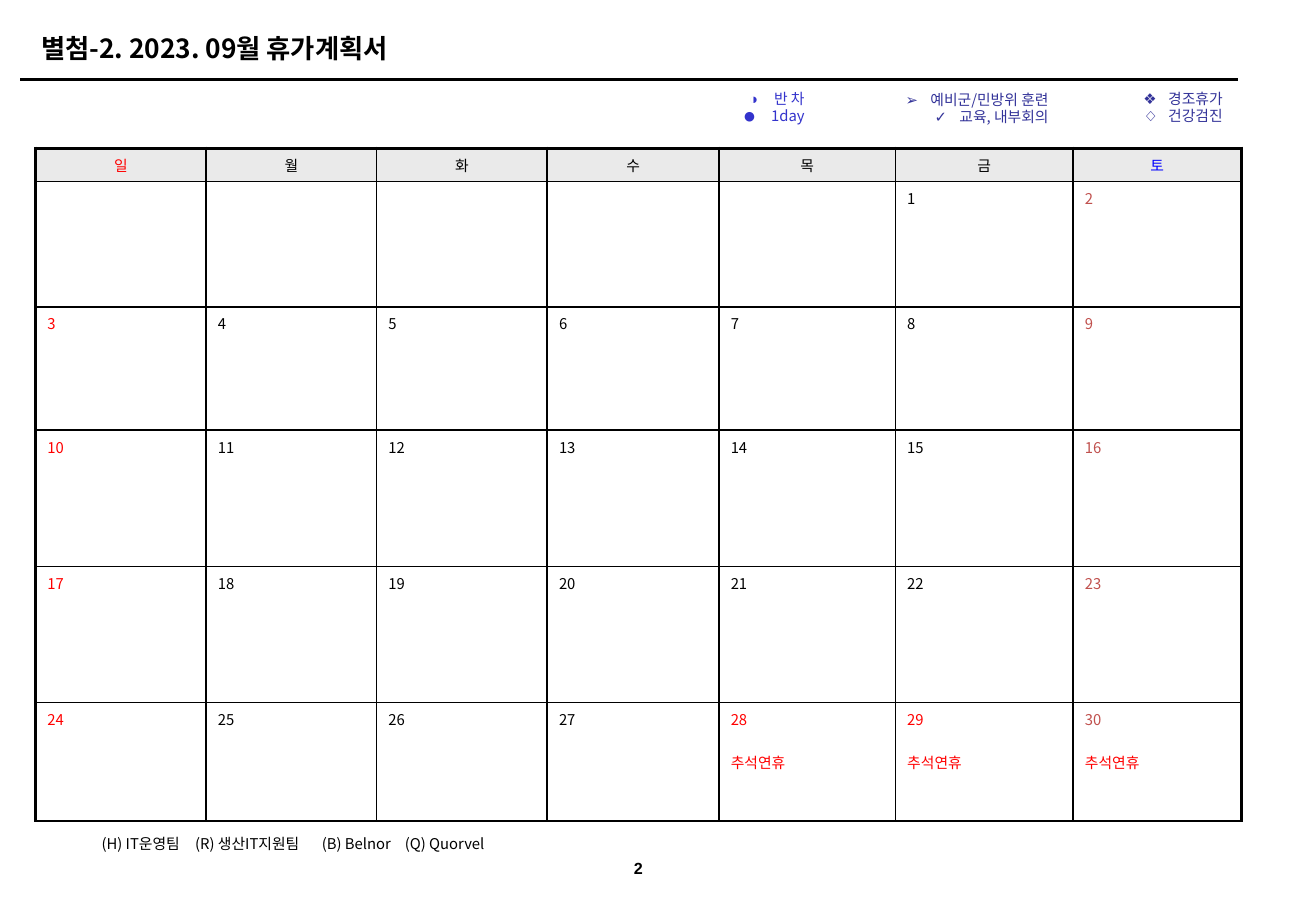
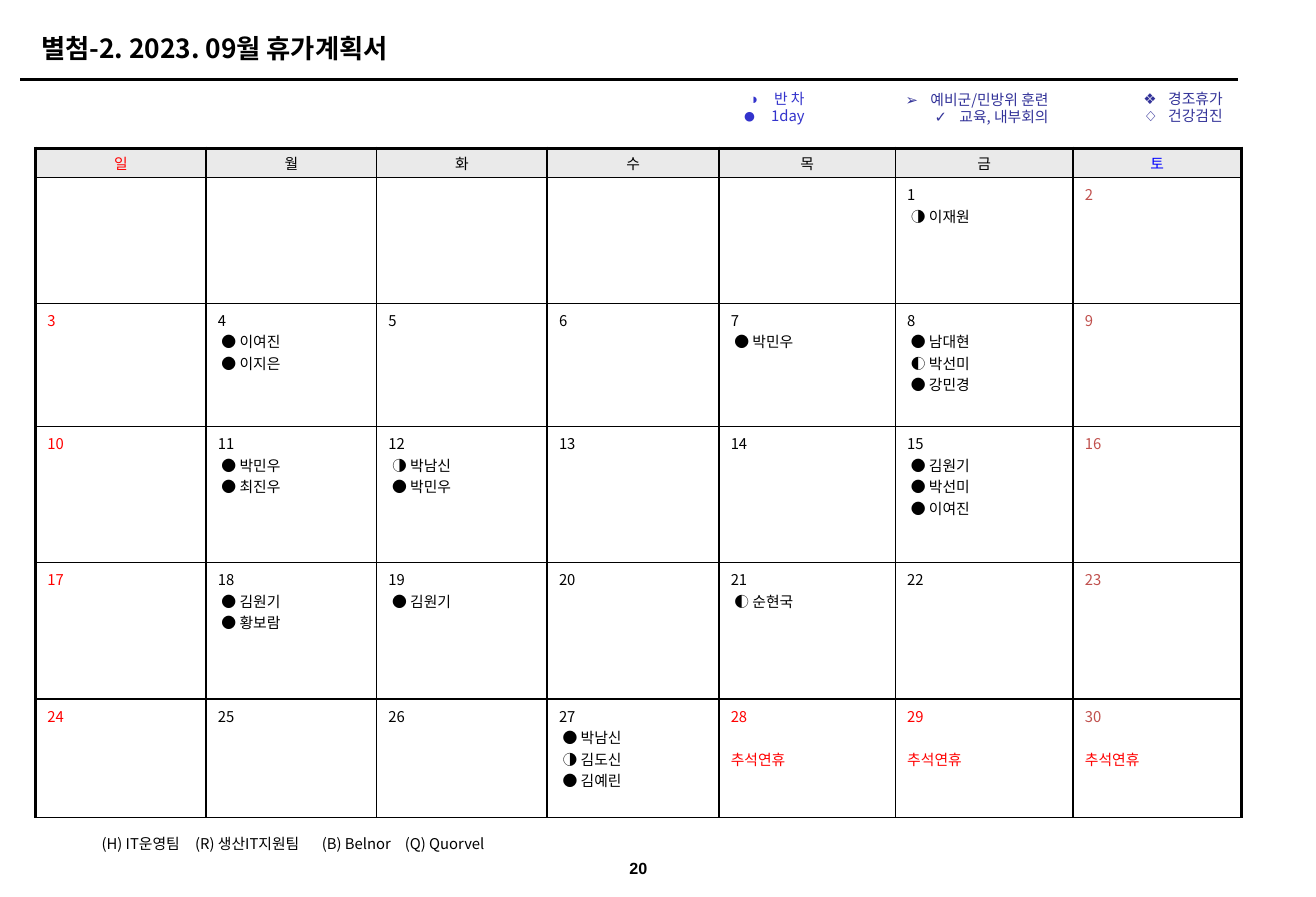
from lxml.etree import SubElement
from pptx import Presentation
from pptx.dml.color import RGBColor
from pptx.enum.shapes import MSO_CONNECTOR
from pptx.enum.text import MSO_ANCHOR, PP_ALIGN
from pptx.oxml.ns import qn
from pptx.util import Pt

PX = 9144  # 100 px to the inch
BLACK = RGBColor(0x00, 0x00, 0x00)
RED = RGBColor(0xFF, 0x00, 0x00)
BLUE = RGBColor(0x00, 0x00, 0xFF)
BRICK = RGBColor(0xC0, 0x50, 0x4D)
GREY = RGBColor(0xEA, 0xEA, 0xEA)
IRIS = RGBColor(0x33, 0x33, 0xCC)
NAVY = RGBColor(0x33, 0x33, 0x99)
SANS = "Noto Sans CJK KR"

BODY = {"size": Pt(9), "bold": False, "name": SANS}
HEAD = {"size": Pt(16), "bold": True, "name": SANS}
PAGE = {"size": Pt(9.8), "bold": True, "name": "Arial"}

TITLE = "별첨-2. 2023. 09월 휴가계획서"
TEAMS = ["(H) IT운영팀", "(R) 생산IT지원팀", "(B) Belnor", "(Q) Quorvel"]
STOPS = [79, 186, 256]
WEEK = "일월화수목금토"
COLS = [144, 144, 144, 145, 149, 150, 142]
ROWS = [106, 104, 115, 115, 100]
FEAST = "추석연휴"

# Legend: left, top, width, colour, then bullet, bullet size in %, text
KEYS = [
    (600, 72, 89, IRIS, [("◑", 100, "반 차"), ("●", 150, " 1day")]),
    (741, 73, 154, NAVY, [("➢", 100, "예비군/민방위 훈련"), ("✓", 100, "교육, 내부회의")]),
    (859, 72, 183, NAVY, [("❖", 100, "경조휴가"), ("◇", 100, "건강검진")]),
]

# Each slide: page number, header row height, leave by day
PLANS = [
    ("2", 28, {}),
    ("20", 25, {
        1: ["◑ 이재원"],
        4: ["● 이여진", "● 이지은"],
        7: ["● 박민우"],
        8: ["● 남대현", "◐ 박선미", "● 강민경"],
        11: ["● 박민우", "● 최진우"],
        12: ["◑ 박남신", "● 박민우"],
        15: ["● 김원기", "● 박선미", "● 이여진"],
        18: ["● 김원기", "● 황보람"],
        19: ["● 김원기"],
        21: ["◐ 순현국"],
        27: ["● 박남신", "◑ 김도신", "● 김예린"],
    }),
]


def write(para, text, look, tint=BLACK):
    run = para.add_run()
    run.text = text
    run.font.color.rgb = tint
    for key, value in look.items():
        setattr(run.font, key, value)
    SubElement(run.font._element, qn("a:ea"), typeface=look["name"])


def add_box(slide, left, top, width, height, anchor=MSO_ANCHOR.MIDDLE):
    box = slide.shapes.add_textbox(left * PX, top * PX, width * PX, height * PX)
    box.text_frame.word_wrap = True
    box.text_frame.vertical_anchor = anchor
    return box.text_frame


deck = Presentation()
deck.slide_width, deck.slide_height = 1111 * PX, 757 * PX

for page, top_row, leave in PLANS:
    slide = deck.slides.add_slide(deck.slide_layouts[6])

    # Title and rule
    write(add_box(slide, 25, 22, 990, 37).paragraphs[0], TITLE, HEAD)
    rule = slide.shapes.add_connector(
        MSO_CONNECTOR.STRAIGHT, 17 * PX, 67 * PX, 1045 * PX, 67 * PX)
    rule.line.color.rgb = BLACK
    rule.line.width = Pt(1.5)
    SubElement(rule._element.spPr, qn("a:effectLst"))

    # Legend
    for left, top, width, tint, items in KEYS:
        frame = add_box(slide, left, top, width, 40, MSO_ANCHOR.TOP)
        for i, (mark, scale, label) in enumerate(items):
            para = frame.add_paragraph() if i else frame.paragraphs[0]
            para.alignment = PP_ALIGN.RIGHT
            para.line_spacing = 0.95
            props = para._p.get_or_add_pPr()
            props.set("marL", str(21 * PX))
            props.set("indent", str(-21 * PX))
            SubElement(SubElement(props, qn("a:buClr")), qn("a:srgbClr"), val=str(tint))
            SubElement(props, qn("a:buSzPct"), val=str(scale * 1000))
            SubElement(props, qn("a:buFont"), typeface="Arial")
            SubElement(props, qn("a:buChar"), char=mark)
            write(para, label, BODY, tint)

    # Calendar grid
    highs = [top_row] + ROWS
    grid = slide.shapes.add_table(
        len(highs), len(COLS), 30 * PX, 125 * PX, sum(COLS) * PX, sum(highs) * PX).table
    grid.first_row = grid.horz_banding = False
    for c, wide in enumerate(COLS):
        grid.columns[c].width = wide * PX
    for r, high in enumerate(highs):
        grid.rows[r].height = high * PX

    # Calendar cells
    for r in range(len(highs)):
        for c, name in enumerate(WEEK):
            cell = grid.cell(r, c)
            edges = {"L": c == 0, "R": c == 6, "T": r == 0, "B": False}
            for side, thick in edges.items():
                line = SubElement(cell._tc.get_or_add_tcPr(), qn("a:ln" + side),
                                  w=str(Pt(2 if thick else 1)))
                SubElement(SubElement(line, qn("a:solidFill")), qn("a:srgbClr"), val=str(BLACK))
            para = cell.text_frame.paragraphs[0]
            if r == 0:
                cell.fill.solid()
                cell.fill.fore_color.rgb = GREY
                cell.vertical_anchor = MSO_ANCHOR.MIDDLE
                cell.margin_top = cell.margin_bottom = 3 * PX
                para.alignment = PP_ALIGN.CENTER
                write(para, name, BODY, {0: RED, 6: BLUE}.get(c, BLACK))
                continue
            cell.fill.background()
            day = (r - 1) * 7 + c - 4
            if day < 1:
                continue
            feast = day >= 28
            tint = BRICK if c == 6 else RED if c == 0 or feast else BLACK
            write(para, str(day), BODY, tint)
            for entry in leave.get(day, []):
                para = cell.text_frame.add_paragraph()
                para._p.get_or_add_pPr().set("marL", str(3 * PX))
                write(para, entry, BODY)
            if feast:
                para = cell.text_frame.add_paragraph()
                para.space_before = Pt(13)
                write(para, FEAST, BODY, RED)

    # Team key
    para = add_box(slide, 76, 700, 360, 24).paragraphs[0]
    tabs = SubElement(para._p.get_or_add_pPr(), qn("a:tabLst"))
    for stop in STOPS:
        SubElement(tabs, qn("a:tab"), pos=str(stop * PX), algn="l")
    write(para, "\t".join(TEAMS), BODY)

    # Page number
    para = add_box(slide, 512, 717, 54, 31).paragraphs[0]
    para.alignment = PP_ALIGN.CENTER
    write(para, page, PAGE)

deck.save("out.pptx")
